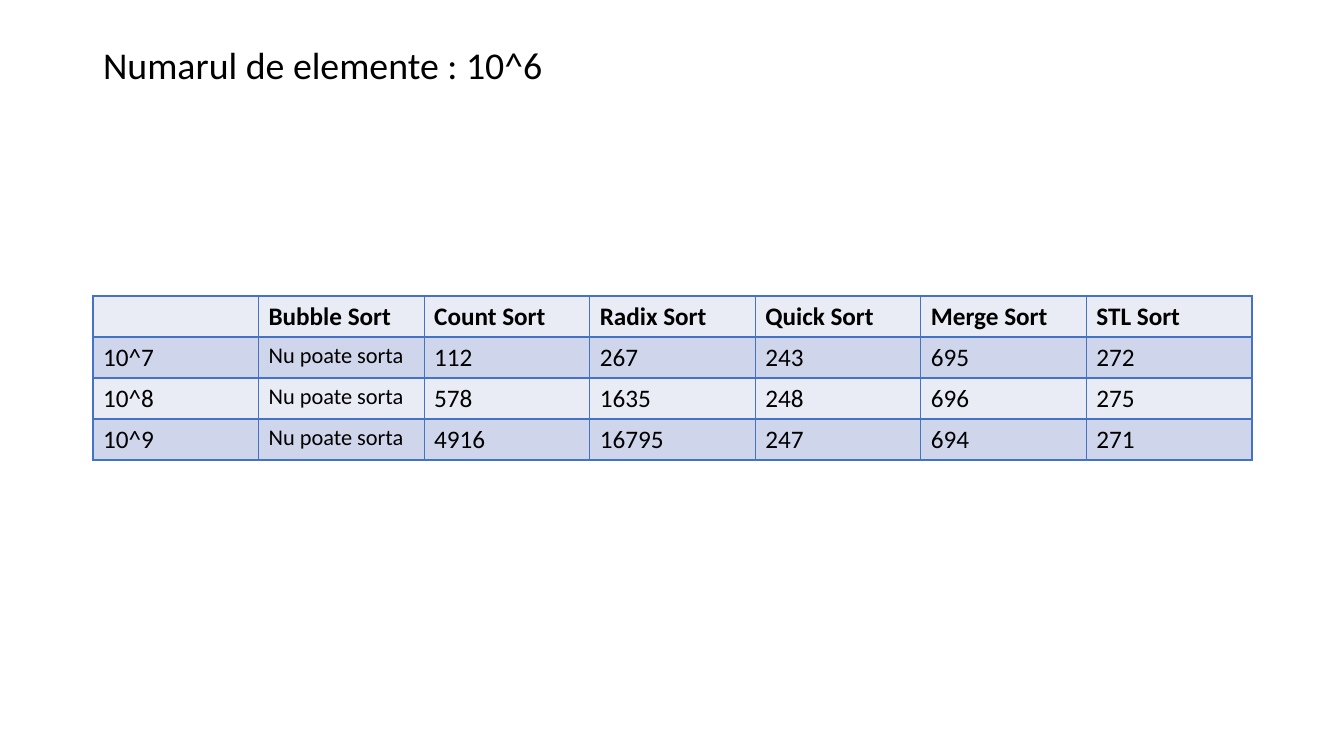
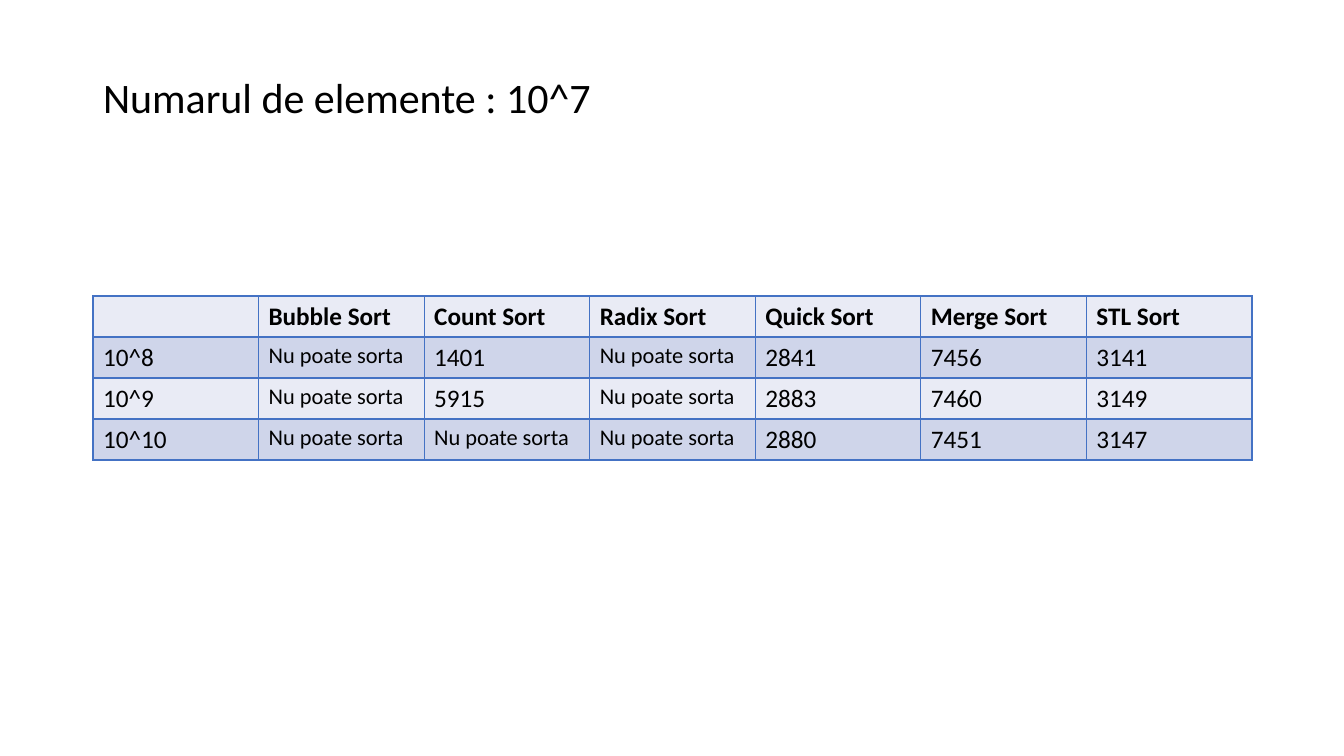
"""Build two slides that compare sorting times for growing value ranges."""
from dataclasses import dataclass

from lxml import etree
from pptx import Presentation
from pptx.dml.color import RGBColor
from pptx.enum.text import MSO_ANCHOR, PP_ALIGN
from pptx.oxml.ns import qn
from pptx.util import Pt

LEFT = PP_ALIGN.LEFT
MIDDLE = MSO_ANCHOR.MIDDLE

FAILED = "Nu poate sorta"
HEADINGS = ("", "Bubble Sort", "Count Sort", "Radix Sort", "Quick Sort", "Merge Sort", "STL Sort")
SLIDES = (
    {
        "title": "Numarul de elemente : 10^6",
        "title_size": 27,
        "title_height": 80,
        "rows": (
            ("10^7", FAILED, "112", "267", "243", "695", "272"),
            ("10^8", FAILED, "578", "1635", "248", "696", "275"),
            ("10^9", FAILED, "4916", "16795", "247", "694", "271"),
        ),
    },
    {
        "title": "Numarul de elemente : 10^7",
        "title_size": 30,
        "title_height": 146,
        "rows": (
            ("10^8", FAILED, "1401", FAILED, "2841", "7456", "3141"),
            ("10^9", FAILED, "5915", FAILED, "2883", "7460", "3149"),
            ("10^10", FAILED, FAILED, FAILED, "2880", "7451", "3147"),
        ),
    },
)


@dataclass(frozen=True)
class Theme:
    font: str = "Calibri"
    text: str = "000000"
    border: str = "4472C4"
    bands: tuple = ("E9EBF5", "CFD5EA")
    cell_size: int = 18
    failed_size: int = 16
    border_width: int = 1
    title_spacing: float = 0.9


THEME = Theme()
SLIDE_WIDTH, SLIDE_HEIGHT = 1344, 756
CONTENT_LEFT, CONTENT_WIDTH = 93, 1159
TITLE_TOP, TITLE_BOTTOM_INSET = 40, 31
TABLE_TOP, ROW_HEIGHT = 296, 41
TITLE_ONLY_LAYOUT = 5


def px(length):
    return round(length * 914400 / 100.8)


def write_text(frame, text, size, bold=False, spacing=None):
    paragraph = frame.paragraphs[0]
    paragraph.alignment = LEFT
    paragraph.line_spacing = spacing
    run = paragraph.add_run()
    run.text = text
    run.font.name = THEME.font
    run.font.size = Pt(size)
    run.font.bold = bold
    run.font.color.rgb = RGBColor.from_string(THEME.text)


def add_borders(cell):
    properties = cell._tc.get_or_add_tcPr()
    for side in ("lnL", "lnR", "lnT", "lnB"):
        line = etree.SubElement(properties, qn(f"a:{side}"), w=str(Pt(THEME.border_width)))
        fill = etree.SubElement(line, qn("a:solidFill"))
        etree.SubElement(fill, qn("a:srgbClr"), val=THEME.border)


def set_title(slide, text, size, height):
    title = slide.shapes.title
    title.left, title.top = px(CONTENT_LEFT), px(TITLE_TOP)
    title.width, title.height = px(CONTENT_WIDTH), px(height)
    frame = title.text_frame
    frame.vertical_anchor = MIDDLE
    frame.margin_bottom = px(TITLE_BOTTOM_INSET)
    write_text(frame, text, size, spacing=THEME.title_spacing)


def add_results(slide, rows):
    table = slide.shapes.add_table(
        len(rows), len(HEADINGS), px(CONTENT_LEFT), px(TABLE_TOP),
        px(CONTENT_WIDTH), px(ROW_HEIGHT * len(rows)),
    ).table
    table.first_row = table.horz_banding = False
    for row_index, row in enumerate(rows):
        for column_index, text in enumerate(row):
            cell = table.cell(row_index, column_index)
            add_borders(cell)
            cell.fill.solid()
            cell.fill.fore_color.rgb = RGBColor.from_string(THEME.bands[row_index % 2])
            if text:
                size = THEME.failed_size if text == FAILED else THEME.cell_size
                write_text(cell.text_frame, text, size, bold=row_index == 0)


presentation = Presentation()
presentation.slide_width, presentation.slide_height = px(SLIDE_WIDTH), px(SLIDE_HEIGHT)
for content in SLIDES:
    slide = presentation.slides.add_slide(presentation.slide_layouts[TITLE_ONLY_LAYOUT])
    set_title(slide, content["title"], content["title_size"], content["title_height"])
    add_results(slide, (HEADINGS, *content["rows"]))
presentation.save("out.pptx")
